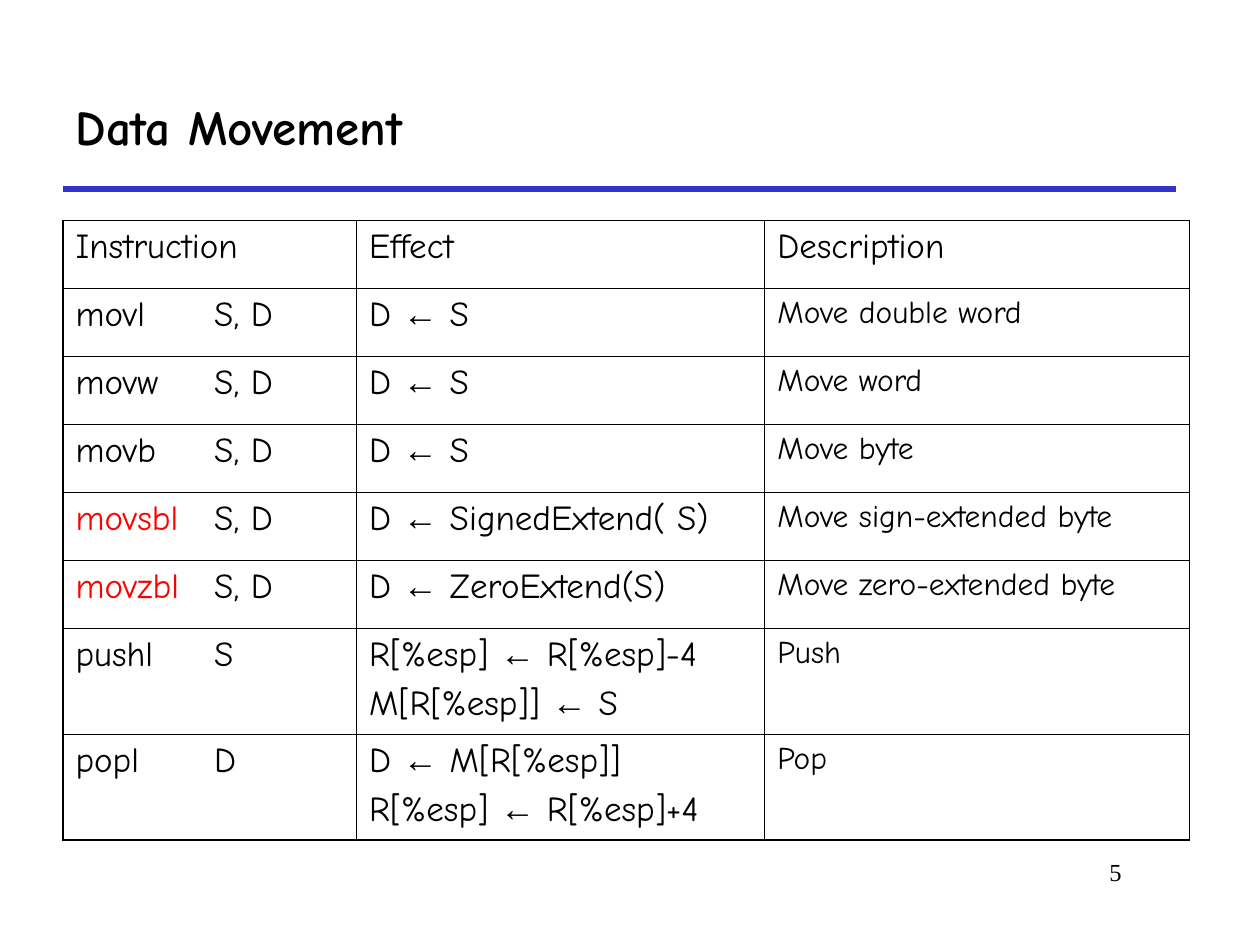
import lxml.etree
import pptx
import pptx.dml.color
import pptx.enum.shapes
import pptx.enum.text
import pptx.oxml.ns
import pptx.util
from pptx.util import Inches, Pt

BODY_FONT = "Comic Neue"
BLACK = "000000"
RED = "FF0000"
RULE_BLUE = "3333CC"
OUTER_BORDER, INNER_BORDER = 1.08, 0.45
OPERAND_TAB = Inches(1.1)
COLUMN_WIDTHS = [2.33, 3.24, 3.37]
ROW_HEIGHTS = [0.54] * 6 + [0.84] * 2
EXTENDING_MOVES = {"movsbl", "movzbl"}
INSTRUCTIONS = [
    ("Instruction", "Effect", "Description"),
    ("movl\tS, D", "D ← S", "Move double word"),
    ("movw\tS, D", "D ← S", "Move word"),
    ("movb\tS, D", "D ← S", "Move byte"),
    ("movsbl\tS, D", "D ← SignedExtend( S)", "Move sign-extended byte"),
    ("movzbl\tS, D", "D ← ZeroExtend(S)", "Move zero-extended byte"),
    ("pushl\tS", "R[%esp] ← R[%esp]-4\nM[R[%esp]] ← S", "Push"),
    ("popl\tD", "D ← M[R[%esp]]\nR[%esp] ← R[%esp]+4", "Pop"),
]


def color(hex_string):
    return pptx.dml.color.RGBColor.from_string(hex_string)


def add_xml(parent, tag, **attributes):
    return lxml.etree.SubElement(parent, pptx.oxml.ns.qn(tag), attributes)


def format_run(run, size, font=BODY_FONT, ink=BLACK, bold=False):
    run.font.size = Pt(size)
    run.font.name = font
    run.font.bold = bold
    run.font.color.rgb = color(ink)


def add_heading(slide, left, top, width, height):
    heading = slide.shapes.title
    heading.left, heading.top, heading.width, heading.height = left, top, width, height
    heading.text_frame.text = "Data Movement"
    heading.text_frame.vertical_anchor = pptx.enum.text.MSO_ANCHOR.MIDDLE
    paragraph = heading.text_frame.paragraphs[0]
    paragraph.alignment = pptx.enum.text.PP_ALIGN.LEFT
    format_run(paragraph.runs[0], 28, bold=True)

    bottom = top + height
    rule = slide.shapes.add_connector(
        pptx.enum.shapes.MSO_CONNECTOR.STRAIGHT, left, bottom, left + width, bottom)
    rule.line.color.rgb = color(RULE_BLUE)
    rule.line.width = Pt(3)
    add_xml(rule._element.spPr, "a:effectLst")


def add_border(cell, side, width):
    border = add_xml(cell._tc.get_or_add_tcPr(), f"a:ln{side}", w=str(Pt(width)))
    add_xml(add_xml(border, "a:solidFill"), "a:srgbClr", val=BLACK)


def write_line(paragraph, line, mark, size):
    if mark == "\t":
        tabs = add_xml(paragraph._p.get_or_add_pPr(), "a:tabLst")
        add_xml(tabs, "a:tab", pos=str(OPERAND_TAB), algn="l")
    paragraph.space_before = Pt(size / 4)
    for piece in filter(None, line.partition(mark)):
        run = paragraph.add_run()
        run.text = piece
        format_run(run, size,
                   font="Arial" if piece == "←" else BODY_FONT,
                   ink=RED if piece in EXTENDING_MOVES else BLACK)


def fill_cell(cell, text, row, column):
    size = 18 if column == 2 and row > 0 else 20
    mark = "\t" if column == 0 else "←"
    for index, line in enumerate(text.split("\n")):
        frame = cell.text_frame
        paragraph = frame.add_paragraph() if index else frame.paragraphs[0]
        write_line(paragraph, line, mark, size)
    outer_sides = {
        "L": column == 0,
        "R": column == len(COLUMN_WIDTHS) - 1,
        "T": row == 0,
        "B": row == len(ROW_HEIGHTS) - 1,
    }
    for side, is_outer in outer_sides.items():
        add_border(cell, side, OUTER_BORDER if is_outer else INNER_BORDER)
    cell.fill.background()


def add_instruction_table(slide, left, top, width, height):
    table = slide.shapes.add_table(
        len(ROW_HEIGHTS), len(COLUMN_WIDTHS), left, top, width, height).table
    table.first_row = table.horz_banding = False
    for column, column_width in zip(table.columns, COLUMN_WIDTHS):
        column.width = Inches(column_width)
    for row, row_height in zip(table.rows, ROW_HEIGHTS):
        row.height = Inches(row_height)
    for row, texts in enumerate(INSTRUCTIONS):
        for column, text in enumerate(texts):
            fill_cell(table.cell(row, column), text, row, column)


def add_page_number(slide, left, top, width, height):
    frame = slide.shapes.add_textbox(left, top, width, height).text_frame
    frame.word_wrap = True
    frame.text = "5"
    paragraph = frame.paragraphs[0]
    paragraph.alignment = pptx.enum.text.PP_ALIGN.RIGHT
    format_run(paragraph.runs[0], 14, font="Times New Roman")


def main():
    presentation = pptx.Presentation()
    presentation.slide_width, presentation.slide_height = Inches(10), Inches(7.5)
    slide = presentation.slides.add_slide(presentation.slide_layouts[5])
    add_heading(slide, Inches(0.5), Inches(0.5), Inches(8.83), Inches(1))
    add_instruction_table(slide, Inches(0.5), Inches(1.75),
                          Inches(sum(COLUMN_WIDTHS)), Inches(sum(ROW_HEIGHTS)))
    add_page_number(slide, Inches(7.58), Inches(6.75), Inches(1.42), Inches(0.5))
    presentation.save("out.pptx")


if __name__ == "__main__":
    main()
